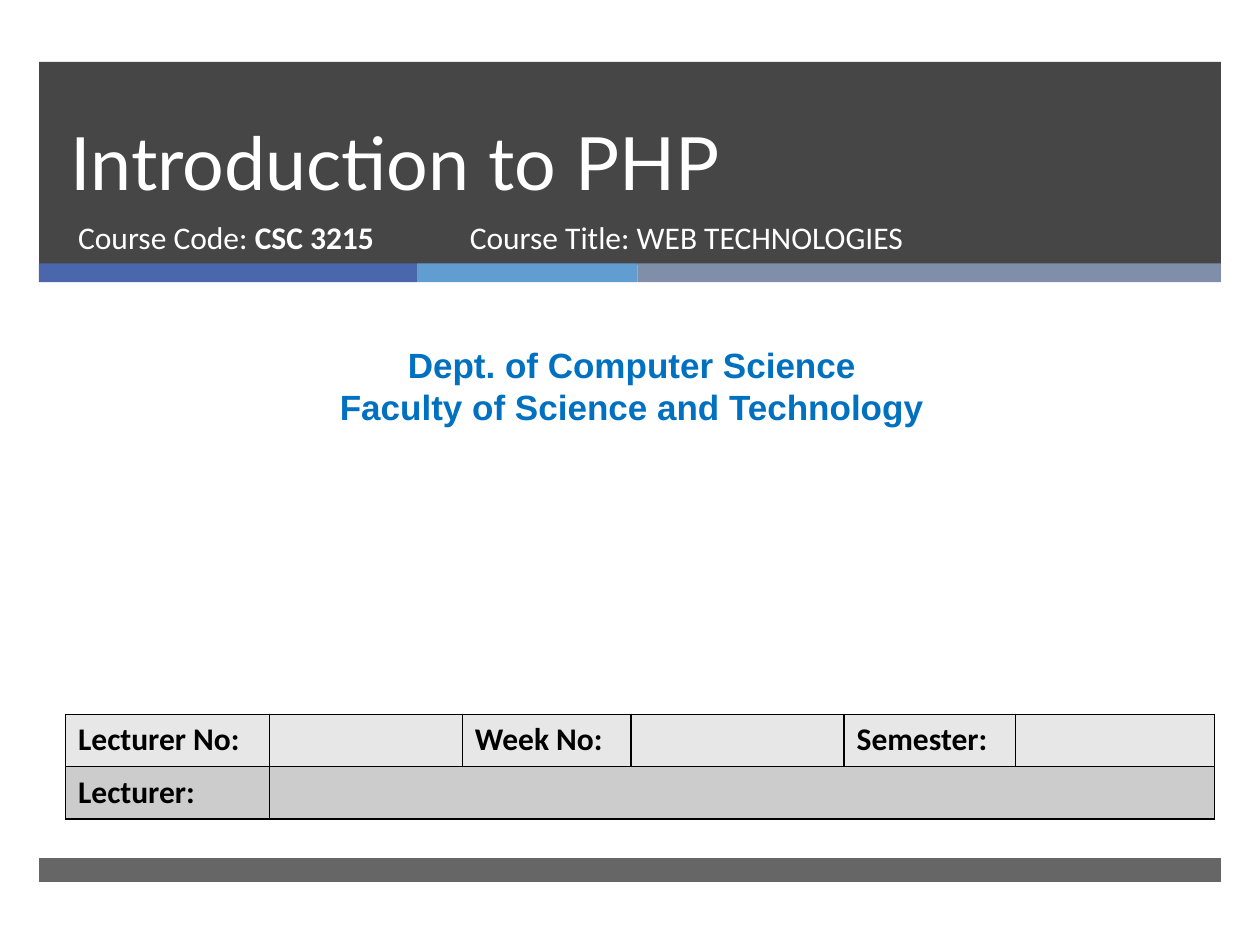
from lxml import etree
from pptx import Presentation
from pptx.dml.color import RGBColor
from pptx.enum.shapes import MSO_SHAPE
from pptx.enum.text import MSO_ANCHOR, PP_ALIGN
from pptx.oxml.ns import qn
from pptx.util import Inches, Pt

RECTANGLE = MSO_SHAPE.RECTANGLE
TOP, BOTTOM = MSO_ANCHOR.TOP, MSO_ANCHOR.BOTTOM
LEFT, CENTER = PP_ALIGN.LEFT, PP_ALIGN.CENTER

COLORS = {
    "charcoal": "262626", "indigo": "4A66AC", "sky": "629DD1", "slate": "7F8FA9",
    "white": "FFFFFF", "blue": "0070C0", "black": "000000",
    "light_row": "E7E7E7", "dark_row": "CCCCCC",
}
TITLE_FONT = {"name": "Lato", "size": Pt(42), "bold": False}
COURSE_FONT = {"name": "Calibri", "size": Pt(18), "bold": False}
LABEL_FONT = {"name": "Calibri", "size": Pt(18), "bold": True}
DEPARTMENT_FONT = {"name": "Arial", "size": Pt(20), "bold": True}
STRIPES = [("indigo", 3), ("sky", 1.75), ("slate", 4.63)]
COLUMN_WIDTHS = [1.62, 1.53, 1.34, 1.69, 1.36, 1.58]
ROWS = [
    ("light_row", ["Lecturer No:", "", "Week No:", "", "Semester:", ""]),
    ("dark_row", ["Lecturer:", "", "", "", "", ""]),
]


def rgb(color):
    """Return the named colour."""
    return RGBColor.from_string(COLORS[color])


def place(shape, box):
    """Move a shape to a box given in inches."""
    for side, length in zip(("left", "top", "width", "height"), box):
        setattr(shape, side, Inches(length))


def add_run(paragraph, text, font_format, color):
    """Add a formatted run to a paragraph."""
    run = paragraph.add_run()
    run.text = text
    for attribute, value in font_format.items():
        setattr(run.font, attribute, value)
    run.font.color.rgb = rgb(color)


def write_lines(shape, lines, color, align=LEFT, anchor=TOP, spacing=None):
    """Fill a shape with lines, each a list of text and font pairs."""
    frame = shape.text_frame
    frame.word_wrap = True
    frame.vertical_anchor = anchor
    for index, runs in enumerate(lines):
        paragraph = frame.add_paragraph() if index else frame.paragraphs[0]
        paragraph.alignment = align
        paragraph.space_before = Pt(0)
        paragraph.line_spacing = spacing
        for text, font_format in runs:
            add_run(paragraph, text, font_format, color)


def add_band(shapes, box, color, opacity=100):
    """Add a plain rectangle with the given opacity in percent."""
    band = shapes.add_shape(RECTANGLE, *map(Inches, box))
    band.shadow.inherit = False
    band.line.fill.background()
    band.fill.solid()
    band.fill.fore_color.rgb = rgb(color)
    if opacity < 100:
        fill_color = band.element.spPr.find(".//" + qn("a:srgbClr"))
        etree.SubElement(fill_color, qn("a:alpha"), val=str(opacity * 1000))
    return band


def add_background(slide, box):
    """Draw the header, stripes and footer behind the placeholders."""
    left, top, width, height = box
    header = add_band(slide.shapes, (left, top, width, 1.61), "charcoal", 85)
    stripes = slide.shapes.add_group_shape()
    stripe_left = left
    for color, stripe_width in STRIPES:
        add_band(stripes.shapes, (stripe_left, top + 1.6, stripe_width, 0.15), color)
        stripe_left += stripe_width
    footer = add_band(slide.shapes, (left, top + height - 0.19, width, 0.19), "charcoal", 70)
    for index, shape in enumerate((header, stripes, footer), start=2):
        slide.shapes.element.insert(index, shape.element)


def add_heading(slide, box):
    """Write the title and the course details in the header."""
    left, top, width, height = box
    title, subtitle = slide.placeholders
    place(title, (left, top, width, 1.19))
    write_lines(title, [[("Introduction to PHP", TITLE_FONT)]], "white",
                anchor=BOTTOM, spacing=Pt(46))
    detail_top = top + 1.19
    detail_height = height - 1.19
    place(subtitle, (left + 0.06, detail_top, 3.05, detail_height))
    write_lines(subtitle, [[("Course Code: ", COURSE_FONT), ("CSC 3215", LABEL_FONT)]], "white")
    course_box = (left + 3.17, detail_top, 4.55, detail_height)
    course = slide.shapes.add_textbox(*map(Inches, course_box))
    write_lines(course, [[("Course Title: WEB TECHNOLOGIES", COURSE_FONT)]], "white")


def add_department(slide, box):
    """Write the centred department and faculty."""
    department = slide.shapes.add_textbox(*map(Inches, box))
    lines = ["Dept. of Computer Science", "Faculty of Science and Technology"]
    write_lines(department, [[(line, DEPARTMENT_FONT)] for line in lines], "blue", CENTER)


def add_borders(cell):
    """Give a cell a thin black line on every side."""
    properties = cell._tc.get_or_add_tcPr()
    for index, side in enumerate(("L", "R", "T", "B")):
        line = etree.Element(qn("a:ln" + side), w=str(Pt(1)))
        fill = etree.SubElement(line, qn("a:solidFill"))
        etree.SubElement(fill, qn("a:srgbClr"), val=COLORS["black"])
        properties.insert(index, line)


def add_lecture_table(slide, box):
    """Add the table of lecture details."""
    frame = slide.shapes.add_table(len(ROWS), len(COLUMN_WIDTHS), *map(Inches, box))
    table = frame.table
    for column, width in zip(table.columns, COLUMN_WIDTHS):
        column.width = Inches(width)
    for row_index, (color, labels) in enumerate(ROWS):
        for column_index, label in enumerate(labels):
            cell = table.cell(row_index, column_index)
            cell.fill.solid()
            cell.fill.fore_color.rgb = rgb(color)
            add_borders(cell)
            if label:
                add_run(cell.text_frame.paragraphs[0], label, LABEL_FONT, "black")
    table.cell(1, 1).merge(table.cell(1, 5))


def main():
    """Build and save the course title slide."""
    presentation = Presentation()
    presentation.slide_width = Inches(10)
    presentation.slide_height = Inches(7.5)
    slide = presentation.slides.add_slide(presentation.slide_layouts[0])
    add_background(slide, (0.31, 0.49, 9.38, 6.51))
    add_heading(slide, (0.46, 0.49, 8.54, 1.72))
    add_department(slide, (0.08, 2.68, 9.87, 0.77))
    add_lecture_table(slide, (0.52, 5.67, 9.12, 0.83))
    presentation.save("out.pptx")


if __name__ == "__main__":
    main()
